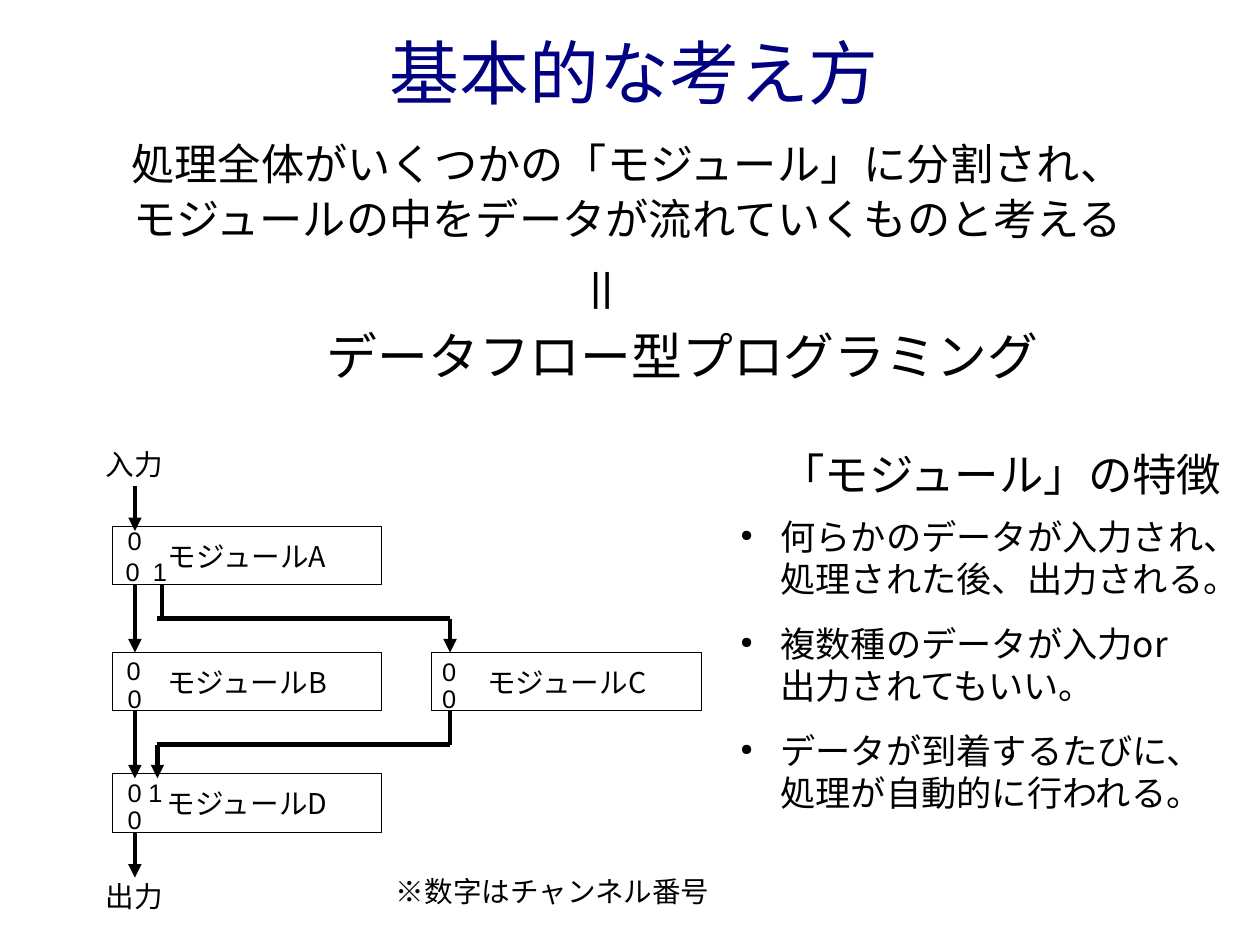
"""Build a slide that explains data-flow programming with a module diagram."""
from lxml import etree
from pptx import Presentation
from pptx.dml.color import RGBColor
from pptx.enum.shapes import MSO_CONNECTOR, MSO_SHAPE
from pptx.enum.text import MSO_ANCHOR, MSO_AUTO_SIZE, PP_ALIGN
from pptx.oxml.ns import qn
from pptx.util import Pt

NAVY = RGBColor(0x00, 0x00, 0x80)
BLACK = RGBColor(0x00, 0x00, 0x00)
JAPANESE_FONT = "Noto Sans CJK JP"
NUMBER_FONT = "Arial"
LEFT, CENTER = PP_ALIGN.LEFT, PP_ALIGN.CENTER
TOP, MIDDLE = MSO_ANCHOR.TOP, MSO_ANCHOR.MIDDLE
NO_AUTO_SIZE = MSO_AUTO_SIZE.NONE
RECTANGLE = MSO_SHAPE.RECTANGLE
STRAIGHT = MSO_CONNECTOR.STRAIGHT

SLIDE_WIDTH, SLIDE_HEIGHT = 793.75, 595.25
MODULE_WIDTH, MODULE_HEIGHT = 170, 36.8
LEFT_COLUMN, RIGHT_COLUMN = 70.6, 272
ROW_A, ROW_BC, ROW_D = 331.6, 411, 487.4
MAIN_X, BRANCH_X, MERGE_X, RIGHT_X = 85, 102.2, 99.2, 283.5
TURN = 21.2
OVERLAP = 2.9

MODULES = [
    ("モジュールA", LEFT_COLUMN, ROW_A),
    ("モジュールB", LEFT_COLUMN, ROW_BC),
    ("モジュールC", RIGHT_COLUMN, ROW_BC),
    ("モジュールD", LEFT_COLUMN, ROW_D),
]
CHANNELS = [
    ("0", 73.4, 327.4), ("0", 72, 347), ("1", 89.3, 347),
    ("0", 72.7, 408.8), ("0", 73.4, 426.8),
    ("0", 271.4, 409.6), ("0", 271.4, 426.8),
    ("0", 73.4, 485.8), ("1", 86.4, 485.8), ("0", 73.4, 503.1),
]
FEATURES = [
    "何らかのデータが入力され、\n処理された後、出力される。",
    "複数種のデータが入力or\n出力されてもいい。",
    "データが到着するたびに、\n処理が自動的に行われる。",
]


def add_bullet(paragraph):
    """Give a paragraph a hanging indent and a small round bullet."""
    properties = paragraph._p.get_or_add_pPr()
    properties.set("marL", str(Pt(33.8)))
    properties.set("indent", str(Pt(-25.2)))
    color = etree.SubElement(properties, qn("a:buClr"))
    etree.SubElement(color, qn("a:srgbClr"), val=str(BLACK))
    etree.SubElement(properties, qn("a:buSzPct"), val="45000")
    etree.SubElement(properties, qn("a:buChar"), char="●")


def write_text(shape, *texts, size=18, font=JAPANESE_FONT, color=BLACK, align=LEFT,
               anchor=TOP, wrap=True, margins=(7.2, 3.6), line_spacing=1.0,
               space_after=0, bullets=False):
    """Write one paragraph per text into a shape and format it."""
    frame = shape.text_frame
    frame.word_wrap = wrap
    frame.auto_size = NO_AUTO_SIZE
    frame.vertical_anchor = anchor
    frame.margin_left = frame.margin_right = Pt(margins[0])
    frame.margin_top = frame.margin_bottom = Pt(margins[1])
    for index, text in enumerate(texts):
        paragraph = frame.add_paragraph() if index else frame.paragraphs[0]
        paragraph.text = text
        paragraph.alignment = align
        paragraph.line_spacing = line_spacing
        paragraph.space_after = Pt(space_after)
        if bullets:
            add_bullet(paragraph)
        for run in paragraph.runs:
            run.font.size = Pt(size)
            run.font.name = font
            run.font.color.rgb = color
            etree.SubElement(run.font._element, qn("a:ea"), typeface=font)


def add_text(slide, left, top, width, height, *texts, **text_format):
    """Add a text box and return it."""
    box = slide.shapes.add_textbox(Pt(left), Pt(top), Pt(width), Pt(height))
    write_text(box, *texts, **text_format)
    return box


def add_module(slide, name, left, top):
    """Add an outlined module box with its name in the centre."""
    box = slide.shapes.add_shape(
        RECTANGLE, Pt(left), Pt(top), Pt(MODULE_WIDTH), Pt(MODULE_HEIGHT))
    box.shadow.inherit = False
    box.fill.background()
    box.line.color.rgb = BLACK
    box.line.width = Pt(0)
    write_text(box, name, align=CENTER, anchor=MIDDLE)


def add_flow(slide, *points, arrow=True):
    """Draw straight segments through the points, with an arrowhead at the end."""
    for start, end in zip(points, points[1:]):
        connector = slide.shapes.add_connector(STRAIGHT, *map(Pt, start + end))
        connector.line.color.rgb = BLACK
        connector.line.width = Pt(2.83)
        etree.SubElement(connector._element.spPr, qn("a:effectLst"))
    if arrow:
        line = connector.line._get_or_add_ln()
        etree.SubElement(line, qn("a:tailEnd"), type="triangle")


def add_diagram(slide):
    """Add the modules, the flows between them and the channel numbers."""
    for module in MODULES:
        add_module(slide, *module)
    bottom_a, bottom_bc, bottom_d = (
        row + MODULE_HEIGHT for row in (ROW_A, ROW_BC, ROW_D))
    add_flow(slide, (MAIN_X, 306), (MAIN_X, ROW_A + OVERLAP))
    add_flow(slide, (MAIN_X, bottom_a), (MAIN_X, ROW_BC))
    add_flow(slide, (MAIN_X, bottom_bc), (MAIN_X, ROW_D + OVERLAP))
    add_flow(slide, (MAIN_X, bottom_d), (MAIN_X, 552.8))
    branch_y, merge_y = bottom_a + TURN, bottom_bc + TURN
    add_flow(slide, (BRANCH_X, bottom_a), (BRANCH_X, branch_y), arrow=False)
    add_flow(slide, (MERGE_X, branch_y), (RIGHT_X, branch_y), (RIGHT_X, ROW_BC))
    add_flow(slide, (RIGHT_X, bottom_bc), (RIGHT_X, merge_y),
             (MERGE_X, merge_y), (MERGE_X, ROW_D + OVERLAP))
    for number, left, top in CHANNELS:
        add_text(slide, left, top, 23, 25.2, number, size=16, font=NUMBER_FONT, wrap=False)
    add_text(slide, 59.5, 277.9, 54, 33.1, "入力")
    add_text(slide, 59.5, 549.8, 54, 33.1, "出力")
    add_text(slide, 242.4, 547, 211.7, 33.1, "※数字はチャンネル番号", wrap=False)


def main():
    """Build the slide and save it."""
    presentation = Presentation()
    presentation.slide_width = Pt(SLIDE_WIDTH)
    presentation.slide_height = Pt(SLIDE_HEIGHT)
    slide = presentation.slides.add_slide(presentation.slide_layouts[6])
    add_text(slide, 8.5, 13, 782.6, 64.1, "基本的な考え方", size=44, color=NAVY,
             align=CENTER, anchor=MIDDLE, margins=(0, 0))
    add_text(slide, 25.2, 85, 740.2, 85,
             "処理全体がいくつかの「モジュール」に分割され、\n"
             "モジュールの中をデータが流れていくものと考える",
             size=27.2, align=CENTER, margins=(0, 0), line_spacing=1.05, space_after=14.2)
    add_text(slide, 198.7, 200.9, 463, 53.3, "データフロー型プログラミング",
             size=32, wrap=False)
    equals = add_text(slide, 352.8, 156.7, 46.1, 53.3, "＝", size=32, wrap=False)
    equals.rotation = 90
    add_diagram(slide)
    add_text(slide, 484.6, 277.9, 291.6, 47.5, "「モジュール」の特徴", size=28, wrap=False)
    add_text(slide, 457.9, 324.5, 329, 247.7, *FEATURES, size=22.2, margins=(0, 0),
             space_after=14.2, bullets=True)
    presentation.save("out.pptx")


if __name__ == "__main__":
    main()
